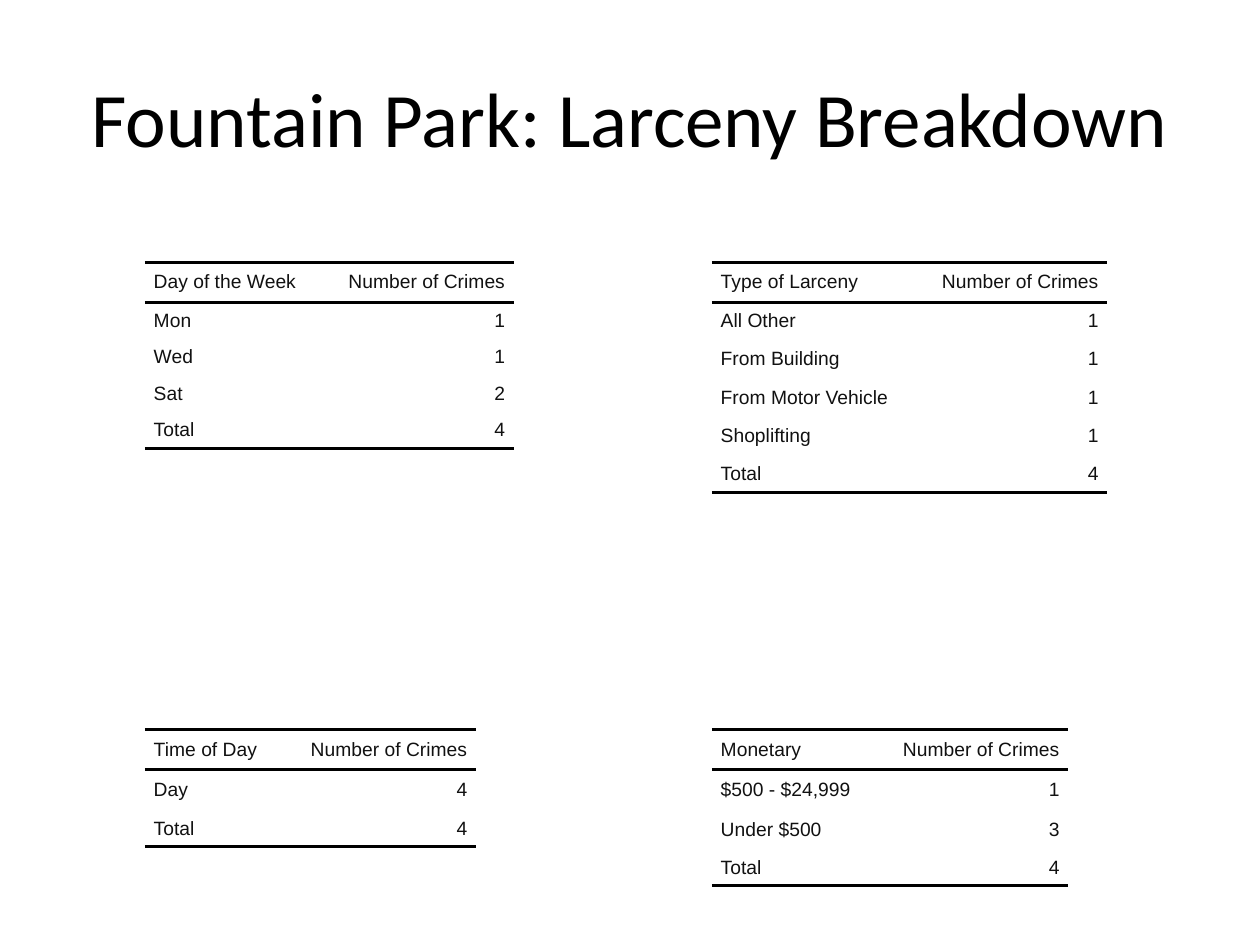
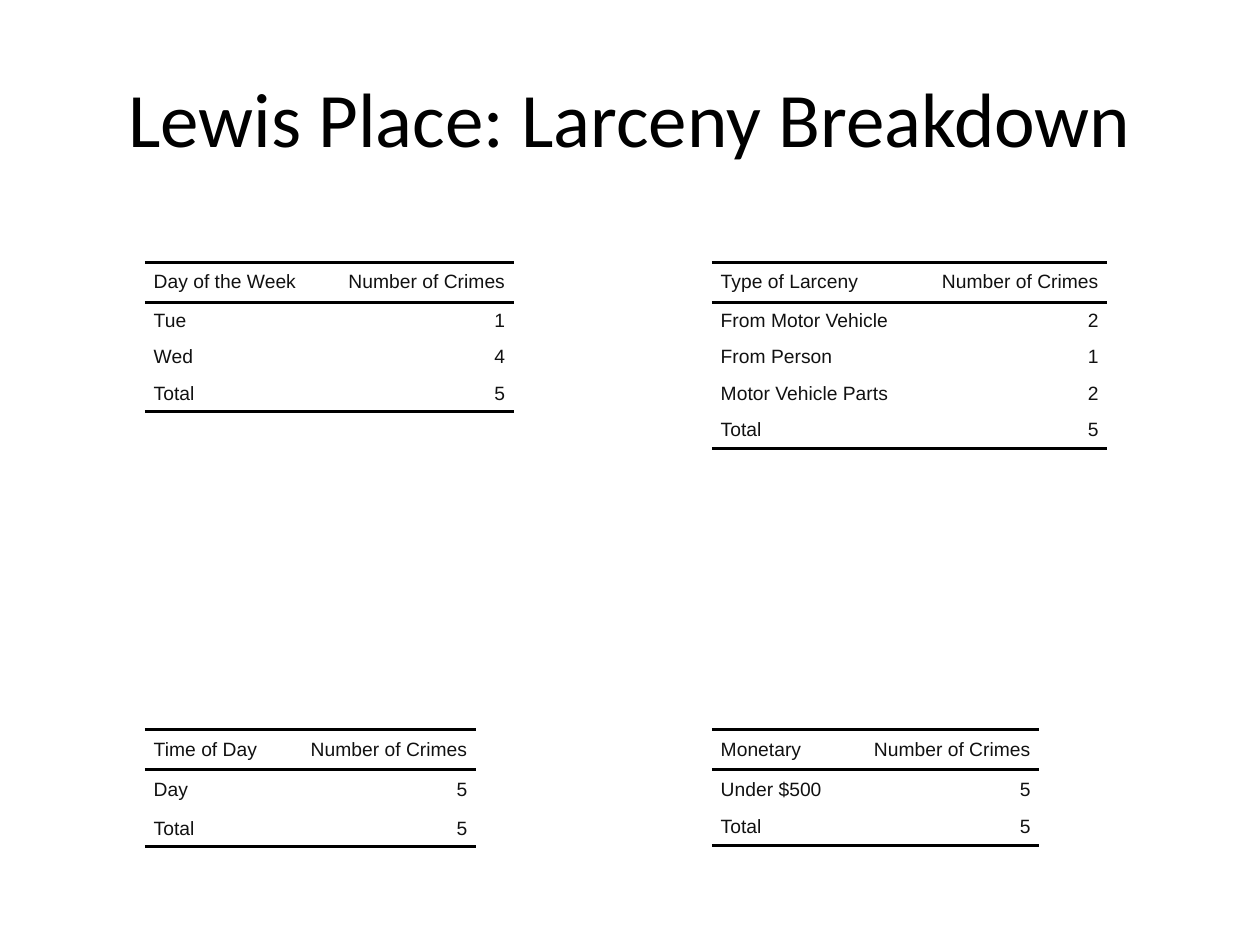
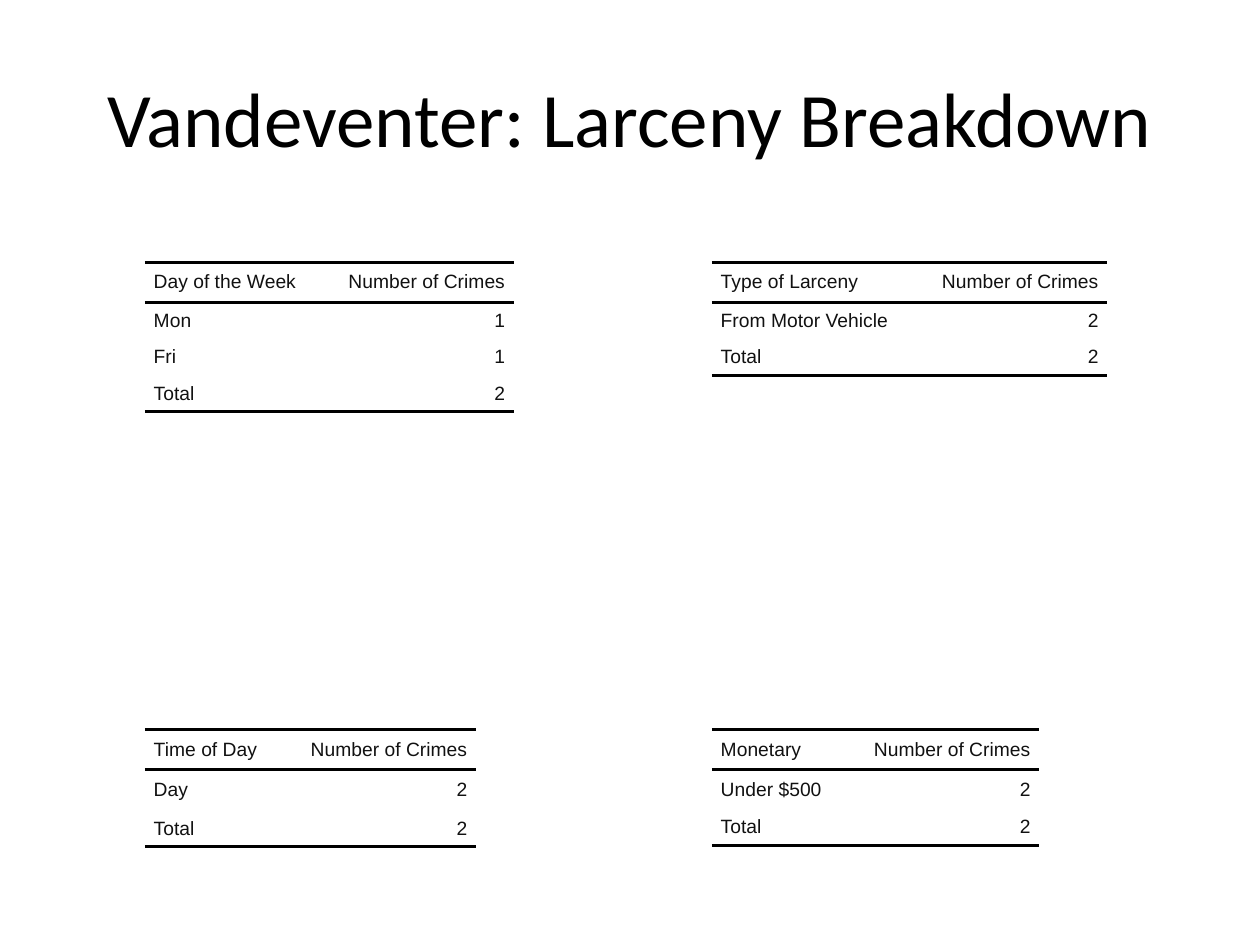
from lxml.etree import SubElement
from pptx import Presentation
from pptx.dml.color import RGBColor
from pptx.enum.text import MSO_ANCHOR, PP_ALIGN
from pptx.oxml.ns import qn
from pptx.util import Inches, Pt

BLACK = RGBColor(0x00, 0x00, 0x00)
INK = RGBColor(0x11, 0x11, 0x11)

# Each neighborhood lists its tables down the left column, then the right.
BREAKDOWNS = {
    "Fountain Park": [
        ("Day of the Week", [("Mon", 1), ("Wed", 1), ("Sat", 2)]),
        ("Time of Day", [("Day", 4)]),
        ("Type of Larceny", [("All Other", 1), ("From Building", 1),
                             ("From Motor Vehicle", 1), ("Shoplifting", 1)]),
        ("Monetary", [("$500 - $24,999", 1), ("Under $500", 3)]),
    ],
    "Lewis Place": [
        ("Day of the Week", [("Tue", 1), ("Wed", 4)]),
        ("Time of Day", [("Day", 5)]),
        ("Type of Larceny", [("From Motor Vehicle", 2), ("From Person", 1),
                             ("Motor Vehicle Parts", 2)]),
        ("Monetary", [("Under $500", 5)]),
    ],
    "Vandeventer": [
        ("Day of the Week", [("Mon", 1), ("Fri", 1)]),
        ("Time of Day", [("Day", 2)]),
        ("Type of Larceny", [("From Motor Vehicle", 2)]),
        ("Monetary", [("Under $500", 2)]),
    ],
}

# Lengths in inches
GRID_LEFT, GRID_TOP = 1.15, 2.08
COLUMN_STEP, ROW_STEP = 4.5, 3.71
FRAME_WIDTH, FRAME_HEIGHT = 4, 3
LABEL_WIDTHS = {"Day of the Week": 1.41, "Time of Day": 1.11,
                "Type of Larceny": 1.62, "Monetary": 1.08,
                "$500 - $24,999": 1.31}
COUNT_WIDTH = 1.52
HEADER_HEIGHT, ROW_HEIGHT = 0.32, 0.29
TALL_ROWS = {"Day": 0.32, "From Building": 0.32, "Shoplifting": 0.32,
             "$500 - $24,999": 0.32, "Under $500": 0.31}
CELL_INDENT = 0.07
RULE_WIDTH = 2  # points

TITLE_FONT = {"name": "Calibri", "size": Pt(44)}
CELL_FONT = {"name": "Arial", "size": Pt(11), "bold": False}
CELL_FORMAT = {"margin_left": 0, "margin_right": 0, "margin_top": 0,
               "margin_bottom": 0, "vertical_anchor": MSO_ANCHOR.MIDDLE}
CELL_SPACING = {"space_before": Pt(2), "space_after": Pt(2)}


def apply(target, values):
    for name, value in values.items():
        setattr(target, name, value)


def write(p, text, font, color, align):
    p.alignment = align
    r = p.add_run()
    r.text = text
    apply(r.font, font)
    r.font.color.rgb = color


def add_title(s, text):
    box = s.shapes.add_textbox(Inches(0.5), Inches(0.3), Inches(9), Inches(1.25))
    tf = box.text_frame
    apply(tf, {"word_wrap": True, "vertical_anchor": MSO_ANCHOR.MIDDLE})
    write(tf.paragraphs[0], text, TITLE_FONT, BLACK, PP_ALIGN.CENTER)


def set_borders(cell, ruled):
    """Draw the sides named in ruled and clear the others."""
    tc_pr = cell._tc.get_or_add_tcPr()
    for side in "LRTB":
        ln = SubElement(tc_pr, qn(f"a:ln{side}"))
        if side in ruled:
            ln.set("w", str(Pt(RULE_WIDTH)))
            fill = SubElement(ln, qn("a:solidFill"))
            SubElement(fill, qn("a:srgbClr")).set("val", str(BLACK))
        else:
            SubElement(ln, qn("a:noFill"))


def fill_cell(cell, text, align, ruled):
    apply(cell, CELL_FORMAT)
    set_borders(cell, ruled)
    cell.fill.background()
    p = cell.text_frame.paragraphs[0]
    apply(p, CELL_SPACING)
    for side in ("marL", "marR"):
        p._p.get_or_add_pPr().set(side, str(Inches(CELL_INDENT)))
    write(p, text, CELL_FONT, INK, align)


def add_breakdown(s, left, top, heading, counts):
    total = sum(count for _, count in counts)
    rows = [(heading, "Number of Crimes"), *counts, ("Total", total)]
    frame = s.shapes.add_table(len(rows), 2, Inches(left), Inches(top),
                               Inches(FRAME_WIDTH), Inches(FRAME_HEIGHT))
    table = frame.table
    apply(table, {"first_row": False, "horz_banding": False})
    label_width = max(LABEL_WIDTHS.get(label, 0) for label, _ in rows)
    for column, width in zip(table.columns, (label_width, COUNT_WIDTH)):
        column.width = Inches(width)
    rules = ["TB", "T"] + [""] * (len(rows) - 2)
    rules[-1] += "B"
    for i, row in enumerate(rows):
        height = TALL_ROWS.get(row[0], ROW_HEIGHT) if i else HEADER_HEIGHT
        table.rows[i].height = Inches(height)
        for j, align in enumerate((PP_ALIGN.LEFT, PP_ALIGN.RIGHT)):
            fill_cell(table.cell(i, j), str(row[j]), align, rules[i])
    apply(frame, {"width": Inches(FRAME_WIDTH), "height": Inches(FRAME_HEIGHT)})


def main():
    prs = Presentation()
    apply(prs, {"slide_width": Inches(10), "slide_height": Inches(7.5)})
    for place, tables in BREAKDOWNS.items():
        s = prs.slides.add_slide(prs.slide_layouts[6])
        add_title(s, f"{place}: Larceny Breakdown")
        for n, (heading, counts) in enumerate(tables):
            column, row = divmod(n, 2)
            add_breakdown(s, GRID_LEFT + column * COLUMN_STEP,
                          GRID_TOP + row * ROW_STEP, heading, counts)
    prs.save("out.pptx")


if __name__ == "__main__":
    main()
